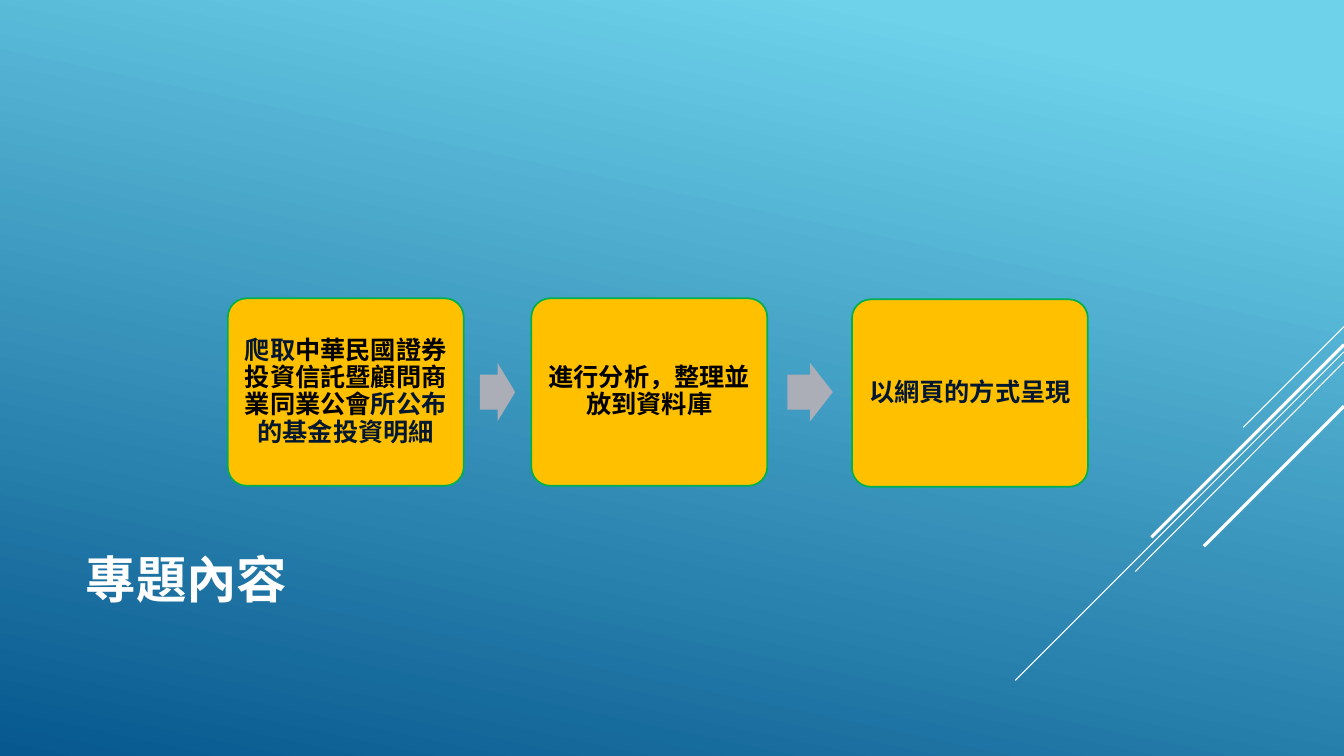
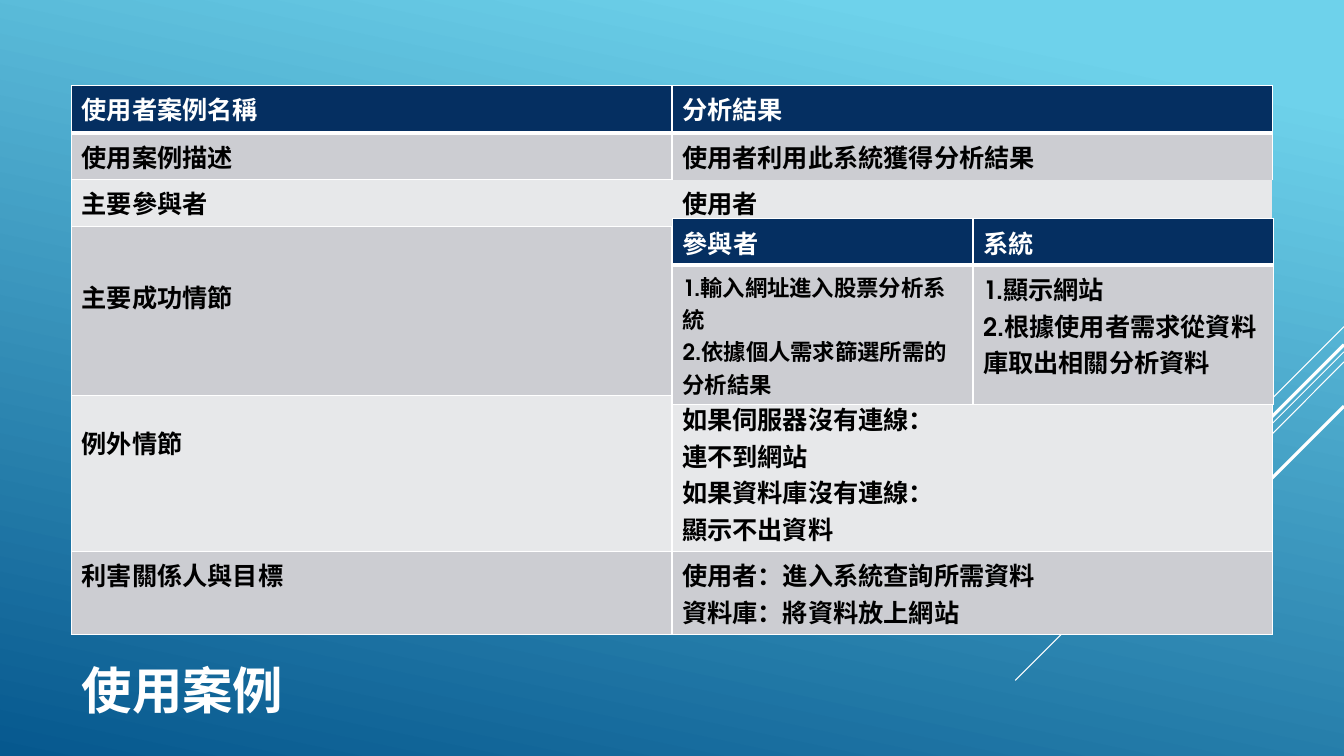
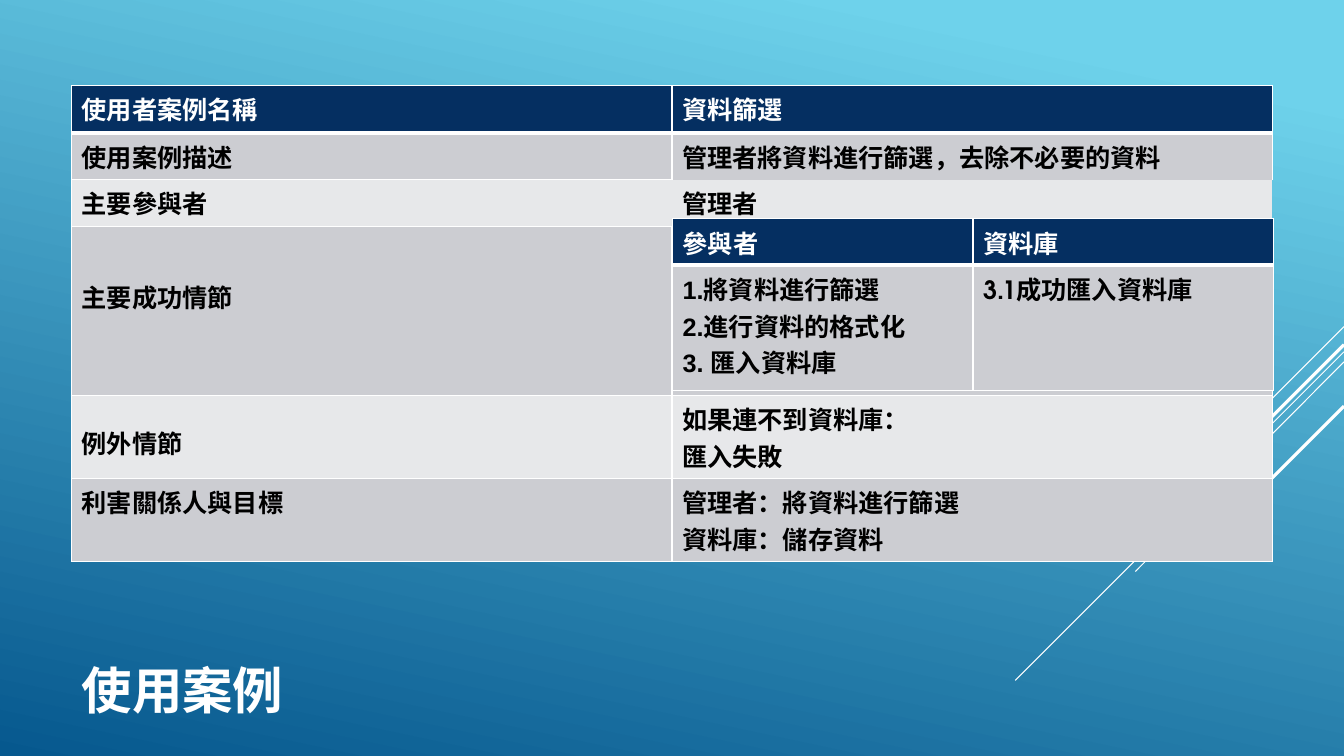
from pptx import Presentation
from pptx.dml.color import RGBColor
from pptx.enum.shapes import MSO_CONNECTOR as CONNECTOR, MSO_SHAPE as SHAPE
from pptx.enum.text import MSO_ANCHOR as ANCHOR, PP_ALIGN as ALIGN
from pptx.oxml.ns import qn
from pptx.util import Inches, Pt
from lxml.etree import SubElement

COLORS = {
    "white": "FFFFFF", "black": "000000", "navy": "052F61", "ink": "031730",
    "sky": "6ED2EB", "deep": "06588E", "amber": "FFC000", "green": "00B050",
    "arrow": "ABADB7", "band": "CCCDD2", "pale": "E7E8EA",
}
COLORS = {name: RGBColor.from_string(value) for name, value in COLORS.items()}
DISPLAY, PLAIN = "TeX Gyre Adventor", "Arial"


def style_text(paragraphs, color, size=18, font=DISPLAY):
    for paragraph in paragraphs:
        for run in paragraph.runs:
            run.font.name = font
            run.font.size = Pt(size)
            run.font.bold = True
            run.font.color.rgb = COLORS[color]


def style_cell(cell, fill, borders):
    cell.fill.solid()
    cell.fill.fore_color.rgb = COLORS[fill]
    properties = cell._tc.get_or_add_tcPr()
    for position, (side, width) in enumerate(zip("LRTB", borders)):
        edge = properties.makeelement(qn(f"a:ln{side}"), {"w": str(Pt(width))})
        if width:
            paint = SubElement(edge, qn("a:solidFill"))
            SubElement(paint, qn("a:srgbClr"), val=str(COLORS["white"]))
        else:
            SubElement(edge, qn("a:noFill"))
        properties.insert(position, edge)


deck = Presentation()
deck.slide_width, deck.slide_height = Inches(13.33), Inches(7.5)
layout = deck.slide_layouts[5]
for footer in list(layout.placeholders)[1:]:
    footer.element.getparent().remove(footer.element)

backdrop = layout.background.fill
backdrop.gradient()
backdrop.gradient_angle = 360 - 102
for stop, position, color in zip(backdrop.gradient_stops, (0.1, 1), ("sky", "deep")):
    stop.position = position
    stop.color.rgb = COLORS[color]

heading = layout.placeholders[0]
heading.left, heading.top = Inches(0.71), Inches(6.01)
heading.width, heading.height = Inches(9.33), Inches(1.65)
heading.text_frame.vertical_anchor = ANCHOR.MIDDLE

slides = []
for title in ("專題內容", "使用案例", "使用案例"):
    slide = deck.slides.add_slide(layout)
    slide.shapes.title.text_frame.text = title
    title_line = slide.shapes.title.text_frame.paragraphs[0]
    title_line.alignment = ALIGN.LEFT
    style_text([title_line], "white", 36)
    slides.append(slide)
overview, *case_slides = slides

streaks = []
for top, left, bottom, weight in (
    (3.24, 12.33, 4.24, 0.75), (3.49, 10.07, 6.75, 0.75), (3.59, 11.26, 5.67, 0.75),
    (3.42, 11.42, 5.33, 2.25), (4.03, 11.94, 5.42, 2.25),
):
    streak = overview.shapes.add_connector(
        CONNECTOR.STRAIGHT, Inches(13.33), Inches(top), Inches(left), Inches(bottom))
    streak.line.color.rgb = COLORS["white"]
    streak.line.width = Pt(weight)
    SubElement(streak.element.spPr, qn("a:effectLst"))
    streaks.append(streak)
for streak in streaks:
    layout.shapes.element.append(streak.element)

overview_title = overview.shapes.title
overview_title.left, overview_title.top = Inches(0.75), Inches(4.91)
overview_title.width, overview_title.height = Inches(9.33), Inches(1.65)

steps = (
    (2.26, 2.96, (("爬取", "ink", PLAIN),
                  ("中華民國證券投資信託暨顧問商業同業公會", "black", PLAIN),
                  ("所公布的基金投資明細", "ink", PLAIN))),
    (5.27, 2.96, (("進行分析，整理並放到資料庫", "black", DISPLAY),)),
    (8.45, 2.97, (("以網頁的方式呈現", "ink", PLAIN),)),
)
for left, top, phrases in steps:
    step = overview.shapes.add_shape(
        SHAPE.ROUNDED_RECTANGLE, Inches(left), Inches(top), Inches(2.34), Inches(1.86))
    step.shadow.inherit = False
    step.adjustments[0] = 0.1
    step.fill.solid()
    step.fill.fore_color.rgb = COLORS["amber"]
    step.line.color.rgb = COLORS["green"]
    step.line.width = Pt(1.25)
    frame = step.text_frame
    frame.word_wrap = True
    frame.vertical_anchor = ANCHOR.MIDDLE
    frame.margin_left = frame.margin_right = Inches(0.07)
    frame.margin_top = frame.margin_bottom = Inches(0.07)
    sentence = frame.paragraphs[0]
    sentence.alignment = ALIGN.CENTER
    sentence.line_spacing = 0.9
    for phrase, color, font in phrases:
        run = sentence.add_run()
        run.text = phrase
        run.font.name = font
        run.font.size = Pt(18)
        run.font.bold = True
        run.font.color.rgb = COLORS[color]

for left, width in ((4.76, 0.35), (7.81, 0.45)):
    arrow = overview.shapes.add_shape(
        SHAPE.RIGHT_ARROW, Inches(left), Inches(3.6), Inches(width), Inches(0.58))
    arrow.shadow.inherit = False
    arrow.adjustments[0], arrow.adjustments[1] = 0.6, 0.5
    arrow.fill.solid()
    arrow.fill.fore_color.rgb = COLORS["arrow"]
    arrow.line.fill.background()

labels = ("使用者案例名稱", "使用案例描述", "主要參與者", "主要成功情節", "例外情節", "利害關係人與目標")
label_margins = {3: 0.52, 4: 0.29}
row_heights = (0.47, 0.4, 0.43, 1.68, 0.75, 0.75)
special_borders = {
    (1, 1): (1, 1, 1, 0), (2, 0): (1, 0, 1, 1), (2, 1): (0, 0, 0, 0), (3, 1): (1, 1, 0, 1),
}
cases = (
    (("分析結果", "使用者利用此系統獲得分析結果", "使用者", "",
      "如果伺服器沒有連線：\n連不到網站\n如果資料庫沒有連線：\n顯示不出資料",
      "使用者：進入系統查詢所需資料\n資料庫：將資料放上網站"),
     ("參與者", "系統"),
     (("1.輸入網址進入股票分析系統\n2.依據個人需求篩選所需的分析結果", 16, DISPLAY),
      ("1.顯示網站\n2.根據使用者需求從資料庫取出相關分析資料", 18, DISPLAY))),
    (("資料篩選", "管理者將資料進行篩選，去除不必要的資料", "管理者", "",
      "如果連不到資料庫：\n匯入失敗", "管理者：將資料進行篩選\n資料庫：儲存資料"),
     ("參與者", "資料庫"),
     (("1.將資料進行篩選\n2.進行資料的格式化\n3. 匯入資料庫", 18, PLAIN),
      ("3.1成功匯入資料庫", 18, DISPLAY))),
)
for slide, (details, roles, actions) in zip(case_slides, cases):
    case_table = slide.shapes.add_table(
        6, 2, Inches(0.71), Inches(0.85), Inches(11.91), Inches(sum(row_heights))).table
    for row, (height, texts) in enumerate(zip(row_heights, zip(labels, details))):
        case_table.rows[row].height = Inches(height)
        fill = "navy" if row == 0 else ("pale", "band")[row % 2]
        for column, text in enumerate(texts):
            cell = case_table.cell(row, column)
            cell.text_frame.text = text
            style_text(cell.text_frame.paragraphs, "black" if row else "white")
            usual = (1, 1, 1, 1) if row else (1, 1, 1, 3)
            style_cell(cell, fill if row != 5 else "band",
                       special_borders.get((row, column), usual))
        if row in label_margins:
            case_table.cell(row, 0).margin_top = Inches(label_margins[row])

    flow_table = slide.shapes.add_table(
        2, 2, Inches(6.67), Inches(2.17), Inches(5.96), Inches(1.66)).table
    flow_table.rows[0].height, flow_table.rows[1].height = Inches(0.42), Inches(1.24)
    for column, (role, (action, size, font)) in enumerate(zip(roles, actions)):
        role_cell, action_cell = flow_table.cell(0, column), flow_table.cell(1, column)
        role_cell.text_frame.text = role
        style_text(role_cell.text_frame.paragraphs, "white")
        style_cell(role_cell, "navy", (1, 1, 1, 3))
        action_cell.text_frame.text = action
        style_text(action_cell.text_frame.paragraphs, "black", size, font)
        style_cell(action_cell, "band", (1, 1, 1, 1))

deck.save("out.pptx")
